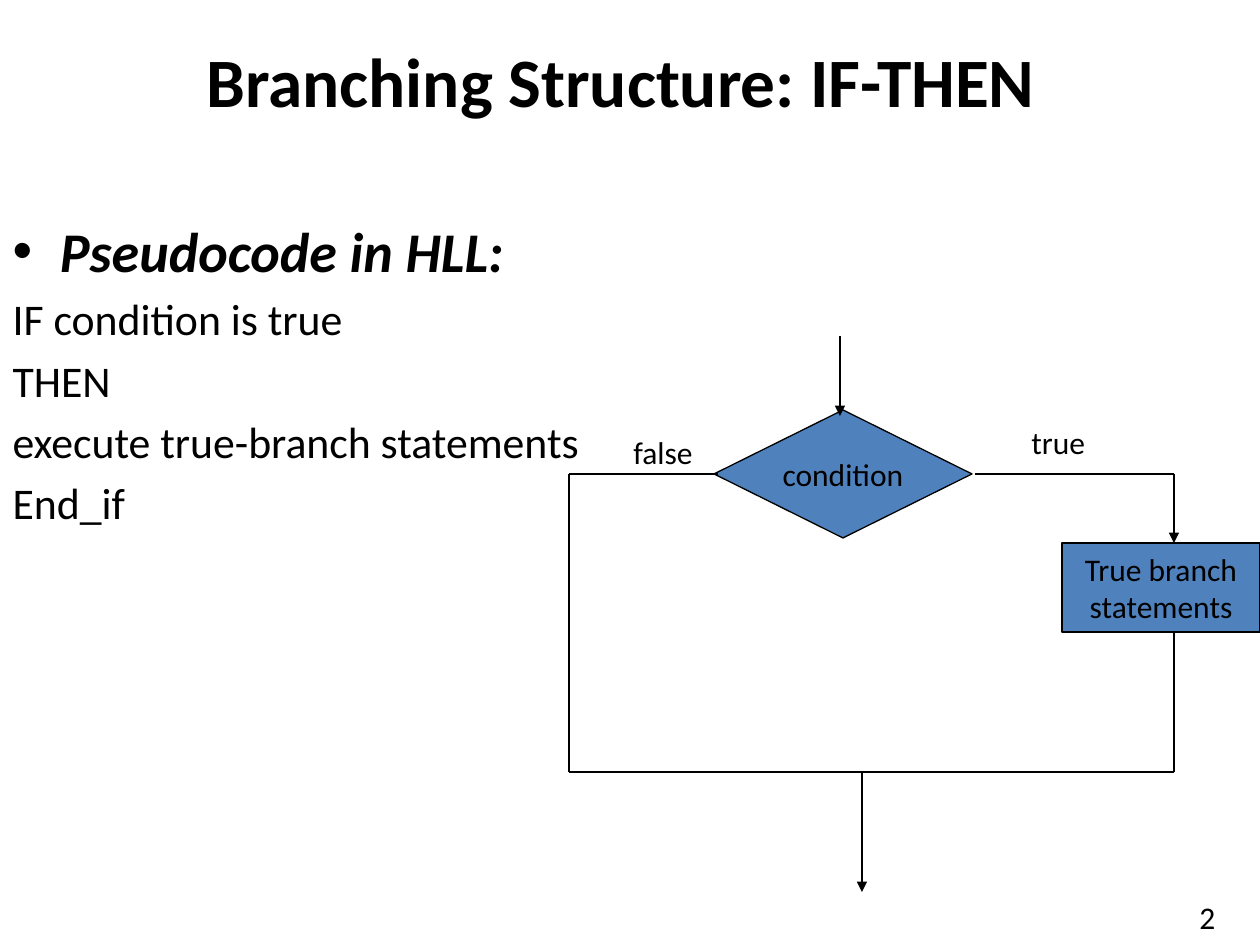
from typing import NamedTuple

from lxml.etree import SubElement
from pptx import Presentation
from pptx.dml.color import RGBColor
from pptx.enum.shapes import MSO_CONNECTOR, MSO_SHAPE
from pptx.enum.text import MSO_ANCHOR, MSO_AUTO_SIZE, PP_ALIGN
from pptx.oxml.ns import qn
from pptx.util import Emu, Pt

EMU_PER_PX = 914400 / 126
BLACK = "000000"
BLUE = "4F81BD"
LINE_WIDTH = Pt(0.75)
DIAGRAM_SIZE = 18


class Box(NamedTuple):
    left: int
    top: int
    width: int
    height: int


class Node(NamedTuple):
    kind: MSO_SHAPE
    box: Box
    lines: list[str]


class Label(NamedTuple):
    text: str
    box: Box


class Flow(NamedTuple):
    points: list[tuple[int, int]]
    arrow: bool = False


class BodyLine(NamedTuple):
    text: str
    size: float = 25
    bullet: bool = False


def px(value: int) -> Emu:
    return Emu(round(value * EMU_PER_PX))


def color(value: str) -> RGBColor:
    return RGBColor.from_string(value)


def place(shape, box: Box) -> None:
    for name, value in box._asdict().items():
        setattr(shape, name, px(value))


def write(paragraph, text: str, size: float, **formats) -> None:
    run = paragraph.add_run()
    run.text = text
    run.font.color.rgb = color(BLACK)
    for name, value in {"name": "Calibri", "size": Pt(size), **formats}.items():
        setattr(run.font, name, value)


def next_paragraph(frame, index: int):
    return frame.add_paragraph() if index else frame.paragraphs[0]


def draw_title(slide, text: str, box: Box) -> None:
    title = slide.shapes.title
    place(title, box)
    formats = {
        "vertical_anchor": MSO_ANCHOR.TOP,
        "auto_size": MSO_AUTO_SIZE.NONE,
        "margin_top": 0,
        "margin_left": 0,
        "margin_right": px(18),
    }
    for name, value in formats.items():
        setattr(title.text_frame, name, value)
    paragraph = title.text_frame.paragraphs[0]
    paragraph.alignment = PP_ALIGN.CENTER
    write(paragraph, text, 39.6, bold=True)


def draw_body(slide, lines: list[BodyLine], box: Box) -> None:
    body = slide.placeholders[1]
    place(body, box)
    frame = body.text_frame
    frame.auto_size = MSO_AUTO_SIZE.NONE
    for index, line in enumerate(lines):
        paragraph = next_paragraph(frame, index)
        write(paragraph, line.text, line.size, bold=line.bullet, italic=line.bullet)
        if not line.bullet:
            SubElement(paragraph._p.get_or_add_pPr(), qn("a:buNone"))


def draw_node(slide, node: Node) -> None:
    shape = slide.shapes.add_shape(node.kind, *map(px, node.box))
    shape.shadow.inherit = False
    shape.fill.solid()
    shape.fill.fore_color.rgb = color(BLUE)
    shape.line.color.rgb = color(BLACK)
    shape.line.width = LINE_WIDTH
    frame = shape.text_frame
    frame.word_wrap = False
    frame.vertical_anchor = MSO_ANCHOR.MIDDLE
    for index, text in enumerate(node.lines):
        paragraph = next_paragraph(frame, index)
        paragraph.alignment = PP_ALIGN.CENTER
        write(paragraph, text, DIAGRAM_SIZE)


def draw_flow(slide, flow: Flow) -> None:
    for start, end in zip(flow.points, flow.points[1:]):
        connector = slide.shapes.add_connector(
            MSO_CONNECTOR.STRAIGHT, *map(px, start + end)
        )
        connector.line.color.rgb = color(BLACK)
        connector.line.width = LINE_WIDTH
        properties = connector.element.spPr
        if flow.arrow and end == flow.points[-1]:
            SubElement(properties.find(qn("a:ln")), qn("a:tailEnd"), type="triangle")
        SubElement(properties, qn("a:effectLst"))


def draw_label(slide, label: Label) -> None:
    frame = slide.shapes.add_textbox(*map(px, label.box)).text_frame
    frame.word_wrap = False
    frame.auto_size = MSO_AUTO_SIZE.SHAPE_TO_FIT_TEXT
    write(frame.paragraphs[0], label.text, DIAGRAM_SIZE)


BODY_LINES = [
    BodyLine("Pseudocode in HLL:", size=32, bullet=True),
    BodyLine("IF condition is true"),
    BodyLine("THEN"),
    BodyLine("execute true-branch statements"),
    BodyLine("End_if"),
]

NODES = [
    Node(MSO_SHAPE.FLOWCHART_DECISION, Box(714, 410, 258, 128), ["condition"]),
    Node(
        MSO_SHAPE.FLOWCHART_PROCESS,
        Box(1062, 543, 198, 89),
        ["True branch", "statements"],
    ),
]

# Shared levels of the flowchart lines
FALSE_X, TRUE_X = 569, 1174
BRANCH_Y, JOIN_Y = 474, 772

FLOWS = [
    Flow([(840, 336), (840, 416)], arrow=True),
    Flow([(975, BRANCH_Y), (TRUE_X, BRANCH_Y), (TRUE_X, 543)], arrow=True),
    Flow([(718, BRANCH_Y), (FALSE_X, BRANCH_Y), (FALSE_X, JOIN_Y)]),
    Flow([(TRUE_X, 632), (TRUE_X, JOIN_Y), (FALSE_X, JOIN_Y)]),
    Flow([(862, JOIN_Y), (862, 892)], arrow=True),
]

LABELS = [
    Label("false", Box(621, 427, 86, 50)),
    Label("true", Box(1019, 417, 79, 50)),
    Label("2", Box(1187, 892, 42, 50)),
]


def main() -> None:
    presentation = Presentation()
    presentation.slide_width = px(1260)
    presentation.slide_height = px(945)
    slide = presentation.slides.add_slide(presentation.slide_layouts[1])

    # Title and pseudocode
    draw_title(slide, "Branching Structure: IF-THEN", Box(63, 38, 1134, 157))
    draw_body(slide, BODY_LINES, Box(0, 210, 630, 624))

    # Flowchart and page number
    for node in NODES:
        draw_node(slide, node)
    for flow in FLOWS:
        draw_flow(slide, flow)
    for label in LABELS:
        draw_label(slide, label)

    presentation.save("out.pptx")


if __name__ == "__main__":
    main()
